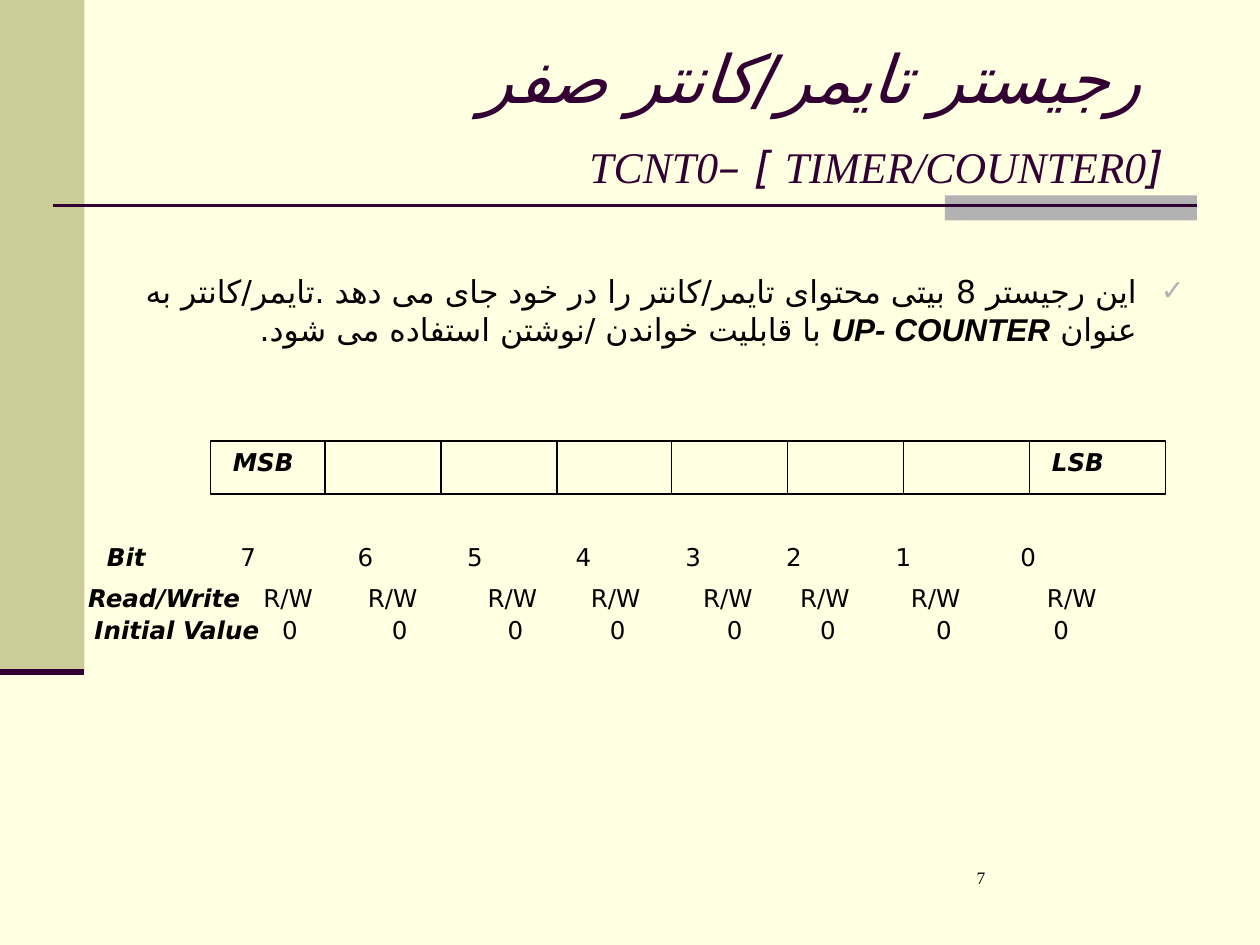
from pptx import Presentation
from pptx.dml.color import RGBColor
from pptx.enum.shapes import MSO_CONNECTOR, MSO_SHAPE
from pptx.enum.text import MSO_ANCHOR, PP_ALIGN
from pptx.oxml.ns import qn
from pptx.util import Inches, Pt
from lxml.etree import SubElement

CREAM, KHAKI, GRAY, PLUM, BLACK = "FFFFE1", "CCCC99", "B2B2B2", "330033", "000000"
SERIF, SANS, LABEL = "Times New Roman", "Arial", "DejaVu Sans"


def colour(hex_code):
    return RGBColor.from_string(hex_code)


def span(text, size=14, font=LABEL, ink=BLACK, bold=False, italic=False):
    return dict(text=text, size=size, font=font, ink=ink, bold=bold, italic=italic)


class RegisterSlide:
    """Holds the page and draws each kind of element on it."""

    def __init__(self, page):
        self.page = page
        page.background.fill.solid()
        page.background.fill.fore_color.rgb = colour(CREAM)

    def box(self, left, top, width, height, fill, outline=None):
        box = self.page.shapes.add_shape(
            MSO_SHAPE.RECTANGLE, Inches(left), Inches(top), Inches(width), Inches(height))
        box.shadow.inherit = False
        box.fill.solid()
        box.fill.fore_color.rgb = colour(fill)
        if outline:
            box.line.color.rgb = colour(outline)
            box.line.width = Pt(0.75)
        else:
            box.line.fill.background()

    def line(self, x1, y1, x2, y2, ink=BLACK, weight=0.75):
        line = self.page.shapes.add_connector(
            MSO_CONNECTOR.STRAIGHT, Inches(x1), Inches(y1), Inches(x2), Inches(y2))
        line.line.color.rgb = colour(ink)
        line.line.width = Pt(weight)
        SubElement(line._element.spPr, qn("a:effectLst"))

    def text(self, left, top, width, height, spans, inset=0.1, top_inset=0.05,
             anchor=MSO_ANCHOR.TOP, rtl=False, margin=0, indent=0, bullet=None, tabs=()):
        box = self.page.shapes.add_textbox(
            Inches(left), Inches(top), Inches(width), Inches(height))
        frame = box.text_frame
        frame.word_wrap = True
        frame.vertical_anchor = anchor
        frame.margin_left, frame.margin_top = Inches(inset), Inches(top_inset)
        para = frame.paragraphs[0]
        para.alignment = PP_ALIGN.RIGHT if rtl else PP_ALIGN.LEFT
        settings = para._p.get_or_add_pPr()
        if rtl:
            settings.set("rtl", "1")
            settings.set("marL", str(Inches(margin)))
            settings.set("indent", str(Inches(indent)))
        if bullet:
            tint = SubElement(settings, qn("a:buClr"))
            SubElement(tint, qn("a:srgbClr"), val=GRAY)
            SubElement(settings, qn("a:buSzPct"), val="90000")
            SubElement(settings, qn("a:buFont"), typeface=LABEL)
            SubElement(settings, qn("a:buChar"), char=bullet)
        if tabs:
            stops = SubElement(settings, qn("a:tabLst"))
            for stop in tabs:
                SubElement(stops, qn("a:tab"), pos=str(Inches(stop)), algn="l")
        for part in spans:
            if part["text"] == "\n":
                para.add_line_break()
                continue
            run = para.add_run()
            run.text = part["text"]
            font = run.font
            font.name, font.size = part["font"], Pt(part["size"])
            font.bold, font.italic = part["bold"], part["italic"]
            font.color.rgb = colour(part["ink"])
            SubElement(run._r.get_or_add_rPr(), qn("a:cs"), typeface=LABEL)

    def bit_row(self, left, top, width, inset, label, values, starts):
        edge = left + inset
        self.text(left, top, width, 0.34,
                  [span(label, bold=True, italic=True),
                   span("".join("\t" + value for value in values))],
                  inset=inset, tabs=[round(start - edge, 2) for start in starts])


def main():
    deck = Presentation()
    deck.slide_width, deck.slide_height = Inches(10), Inches(7.5)
    slide = RegisterSlide(deck.slides.add_slide(deck.slide_layouts[6]))

    slide.box(0, 0, 0.67, 5.33, KHAKI)
    slide.box(7.5, 1.55, 2, 0.2, GRAY)
    slide.line(0.42, 1.63, 9.5, 1.63, PLUM, 1.5)
    slide.line(0, 5.33, 0.67, 5.33, PLUM, 3.5)

    title = dict(font=SERIF, ink=PLUM, italic=True)
    slide.text(1, 0.3, 8.5, 1.25,
               [span("رجیستر تایمر/کانتر صفر", size=38, **title), span("\n"),
                span(" ", size=38, **title),
                span("[TIMER/COUNTER0 ] –TCNT0", size=25, **title)],
               anchor=MSO_ANCHOR.MIDDLE, rtl=True, indent=0.34)

    body = dict(size=18, font=SANS)
    slide.text(1, 1.75, 8.5, 4.95,
               [span("این رجیستر 8 بیتی محتوای تایمر/کانتر را در خود جای می دهد "
                     ".تایمر/کانتر به عنوان ", **body),
                span("UP- COUNTER", bold=True, italic=True, **body),
                span(" با قابلیت خواندن /نوشتن استفاده می شود.", **body)],
               top_inset=0.41, rtl=True, margin=0.38, indent=-0.38, bullet="✓")

    top, height = 3.5, 0.42
    slide.box(1.67, top, 7.58, height, CREAM, BLACK)
    for x in (2.58, 3.5, 4.42, 5.33, 6.25, 7.17, 8.17):
        slide.line(x, top, x, top + height)
    for left, width, name in ((1.75, 0.83, "MSB"), (8.25, 0.92, "LSB")):
        slide.text(left, top, width, 0.34, [span(name, bold=True, italic=True)])

    slide.bit_row(0.75, 4.25, 8.75, 0.1, "Bit", "76543210",
                  (1.91, 2.84, 3.71, 4.57, 5.44, 6.24, 7.11, 8.1))
    slide.bit_row(0.5, 4.58, 9.5, 0.2, "Read/Write", ["R/W"] * 8,
                  (2.09, 2.92, 3.87, 4.69, 5.58, 6.35, 7.23, 8.31))
    slide.bit_row(0.5, 4.83, 9.33, 0.25, "Initial Value", "0" * 8,
                  (2.24, 3.11, 4.03, 4.84, 5.77, 6.51, 7.43, 8.36))

    slide.text(7.42, 6.83, 2.08, 0.5, [span("7", size=10, font=SERIF)], inset=0.33)
    deck.save("out.pptx")


if __name__ == "__main__":
    main()
